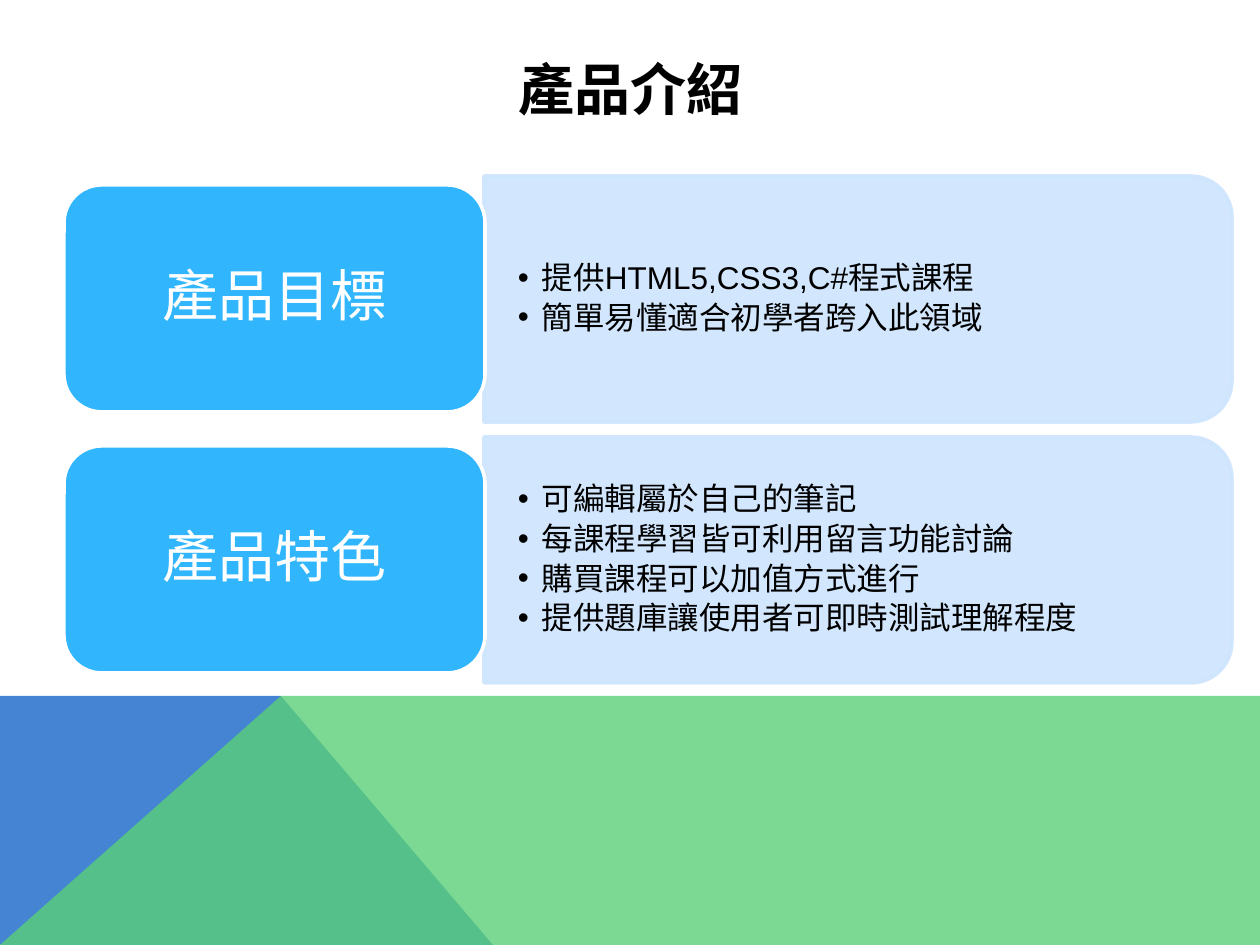
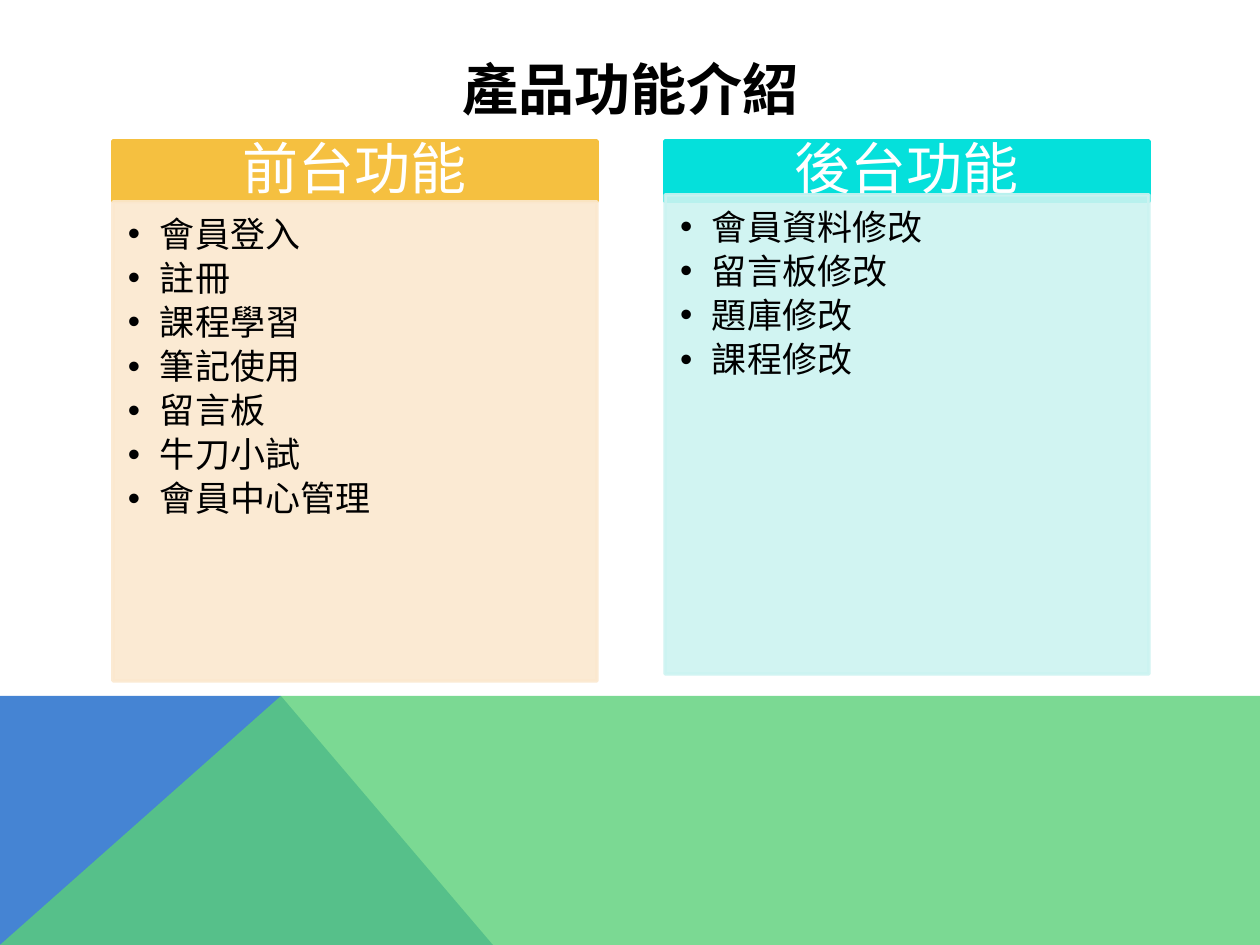
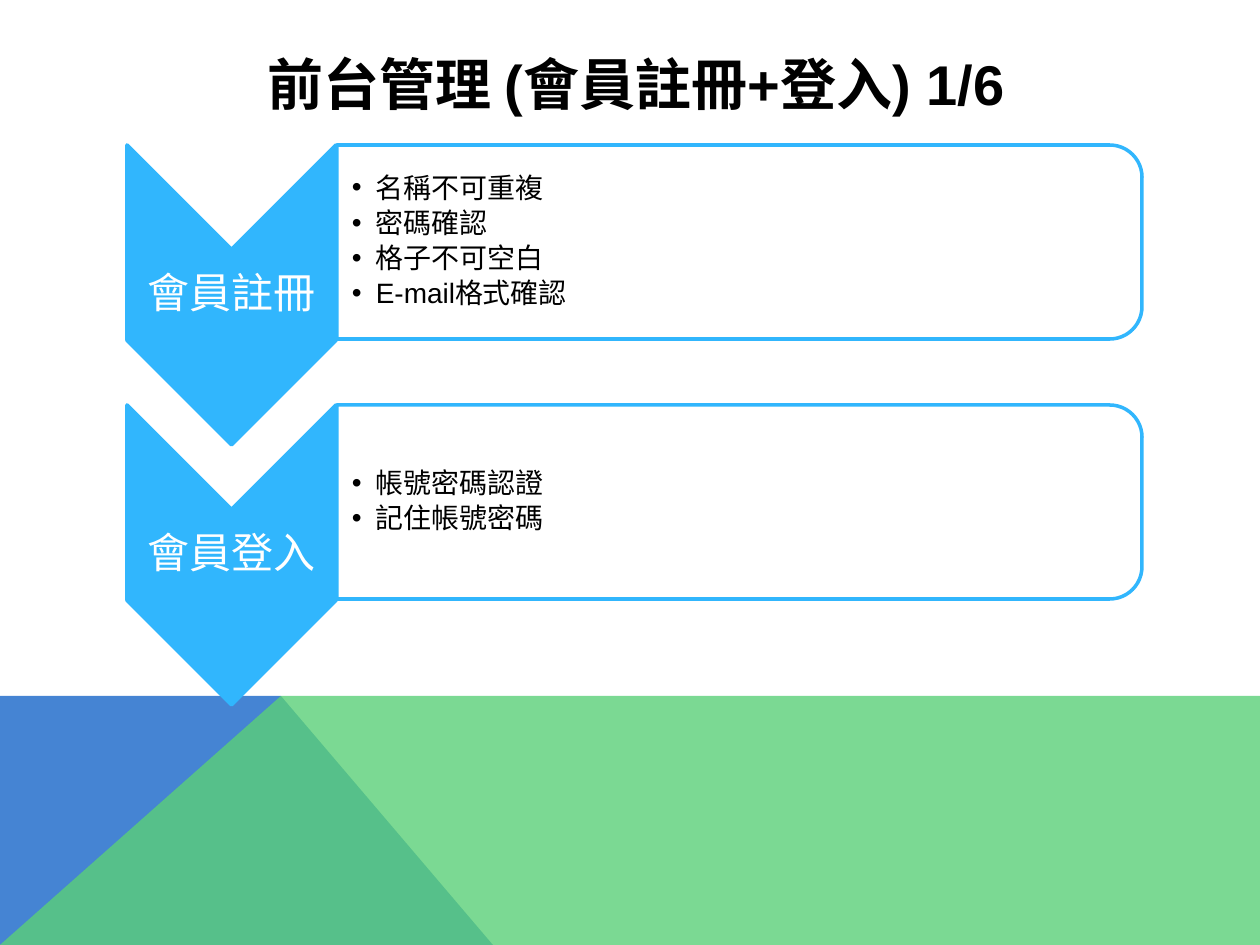
from pptx import Presentation
from pptx.dml.color import RGBColor
from pptx.enum.shapes import MSO_SHAPE
from pptx.enum.text import MSO_ANCHOR, PP_ALIGN
from pptx.oxml.ns import qn
from pptx.util import Pt
from lxml import etree

PX = 914400 / 126
FONT = "Arial"
RECT, ROUND_RECT = MSO_SHAPE.RECTANGLE, MSO_SHAPE.ROUNDED_RECTANGLE
TWO_ROUND, CHEVRON = MSO_SHAPE.ROUND_2_SAME_RECTANGLE, MSO_SHAPE.CHEVRON
TOP, MIDDLE = MSO_ANCHOR.TOP, MSO_ANCHOR.MIDDLE
CENTER, LEFT = PP_ALIGN.CENTER, PP_ALIGN.LEFT

COLORS = {
    "black": "000000",
    "white": "FFFFFF",
    "band_blue": "4584D3",
    "band_green": "5BD078",
    "sky": "31B6FD",
    "pale_sky": "CEE5FE",
    "amber": "F5C040",
    "pale_amber": "FBE8CF",
    "aqua": "05E0DB",
    "pale_aqua": "CCF3F1",
}


def px(n):
    return round(n * PX)


def rgb(name):
    return RGBColor.from_string(COLORS[name])


def set_alpha(fill_owner, percent):
    """Make every solid colour below the element partly transparent."""
    for color in fill_owner.iter(qn("a:srgbClr")):
        etree.SubElement(color, qn("a:alpha")).set("val", str(percent * 1000))


def paint(sp, fill, line=None):
    sp.shadow.inherit = False
    sp.fill.solid()
    sp.fill.fore_color.rgb = rgb(fill)
    if line:
        sp.line.color.rgb = rgb(line)
        sp.line.width = Pt(2)
    else:
        sp.line.fill.background()


def add_box(slide, kind, box, fill, line):
    sp = slide.shapes.add_shape(kind, *map(px, box))
    paint(sp, fill, line)
    return sp


def add_turned(slide, kind, box, fill, line):
    """Add a shape turned by 90 degrees that covers box as seen."""
    x, y, w, h = box
    sp = add_box(slide, kind, (x + (w - h) / 2, y + (h - w) / 2, h, w), fill, line)
    sp.rotation = 90
    return sp


def write(sp, lines, size, color="black", align=CENTER, anchor=MIDDLE,
          insets=(13, 6, 13, 6), bold=False):
    tf = sp.text_frame
    tf.word_wrap = True
    tf.vertical_anchor = anchor
    tf.margin_left, tf.margin_top, tf.margin_right, tf.margin_bottom = map(px, insets)
    tf.text = "\n".join(lines)
    for p in tf.paragraphs:
        p.alignment = align
        for r in p.runs:
            r.font.name = FONT
            r.font.size = Pt(size)
            r.font.bold = bold
            r.font.color.rgb = rgb(color)
    return tf


def write_label(sp, text, size, insets):
    p = write(sp, [text], size, "white", insets=insets).paragraphs[0]
    p.line_spacing = 0.9
    p.space_after = Pt(size * 0.42)


def write_bullets(sp, lines, size, indent, insets, anchor=MIDDLE):
    tf = write(sp, lines, size, align=LEFT, anchor=anchor, insets=insets)
    for p in tf.paragraphs:
        p.level = 1
        p.line_spacing = 0.9
        p.space_after = Pt(size * 0.18)
        pPr = p._p.get_or_add_pPr()
        pPr.set("marL", str(px(indent)))
        pPr.set("indent", str(-px(indent)))
        etree.SubElement(pPr, qn("a:buFont")).set("typeface", FONT)
        etree.SubElement(pPr, qn("a:buChar")).set("char", "•")


def add_text_box(slide, box):
    return slide.shapes.add_textbox(*map(px, box))


def add_band(slide, points, fill):
    builder = slide.shapes.build_freeform(*points[0], scale=PX)
    builder.add_line_segments(points[1:], close=True)
    sp = builder.convert_to_shape()
    paint(sp, fill)
    return sp


def add_slide(prs, title, title_box=(113, 50, 1036, 76)):
    slide = prs.slides.add_slide(prs.slide_layouts[6])
    add_band(slide, [(0, 945), (0, 696), (281, 696), (493, 945)], "band_blue")
    green = add_band(slide, [(0, 945), (281, 696), (1260, 696), (1260, 945)], "band_green")
    set_alpha(green._element.spPr, 80)
    write(add_text_box(slide, title_box), [title], 32, bold=True)
    return slide


def add_side_panel(slide, box, fill, line, lines, size, insets):
    """Add a panel rounded on its right side, with bullets."""
    sp = add_turned(slide, TWO_ROUND, box, fill, line)
    set_alpha(sp._element.spPr if fill == line
              else sp._element.spPr.find(qn("a:solidFill")), 90)
    x, y, w, h = box
    pad = round(h * 0.05)
    text_box = add_text_box(slide, (x, y + pad, w - pad, h - 2 * pad))
    write_bullets(text_box, lines, size, 24, insets)


def add_topic(slide, y, label, lines):
    add_side_panel(slide, (484, y, 748, 246), "pale_sky", "pale_sky", lines, 18,
                   (34, 18, 34, 18))
    sp = add_box(slide, ROUND_RECT, (64, y + 9, 421, 227), "sky", "white")
    write_label(sp, label, 32, (16, 9, 16, 9))


def add_feature_column(slide, x, body_y, label, lines, color):
    header = add_box(slide, RECT, (x, 141, 484, 60), color, color)
    write_label(header, label, 32, (32, 18, 32, 18))
    pale = "pale_" + color
    body = add_box(slide, RECT, (x, body_y, 484, 479), pale, pale)
    set_alpha(body._element.spPr, 90)
    write_bullets(body, lines, 20, 32, (15, 15, 20, 21), TOP)


def add_step(slide, y, label, lines):
    add_turned(slide, CHEVRON, (127, y, 209, 300), "sky", "sky")
    write_label(add_text_box(slide, (127, y + 105, 209, 90)), label, 24, (3, 3, 3, 3))
    add_side_panel(slide, (337, y, 805, 194), "white", "sky", lines, 16, (15, 1, 1, 1))


def main():
    prs = Presentation()
    prs.slide_width, prs.slide_height = px(1260), px(945)

    slide = add_slide(prs, "產品介紹")
    topics = [
        ("產品目標", ["提供HTML5,CSS3,C#程式課程", "簡單易懂適合初學者跨入此領域"]),
        ("產品特色", ["可編輯屬於自己的筆記", "每課程學習皆可利用留言功能討論",
                  "購買課程可以加值方式進行", "提供題庫讓使用者可即時測試理解程度"]),
    ]
    for i, (label, lines) in enumerate(topics):
        add_topic(slide, 176 + 261 * i, label, lines)

    slide = add_slide(prs, "產品功能介紹")
    add_feature_column(slide, 113, 202, "前台功能",
                       ["會員登入", "註冊", "課程學習", "筆記使用", "留言板",
                        "牛刀小試", "會員中心管理"], "amber")
    add_feature_column(slide, 665, 195, "後台功能",
                       ["會員資料修改", "留言板修改", "題庫修改", "課程修改"], "aqua")

    slide = add_slide(prs, "前台管理 (會員註冊+登入) 1/6", (115, 45, 1042, 76))
    steps = [
        ("會員註冊", ["名稱不可重複", "密碼確認", "格子不可空白", "E-mail格式確認"]),
        ("會員登入", ["帳號密碼認證", "記住帳號密碼"]),
    ]
    for i, (label, lines) in enumerate(steps):
        add_step(slide, 145 + 260 * i, label, lines)

    prs.save("out.pptx")


if __name__ == "__main__":
    main()
